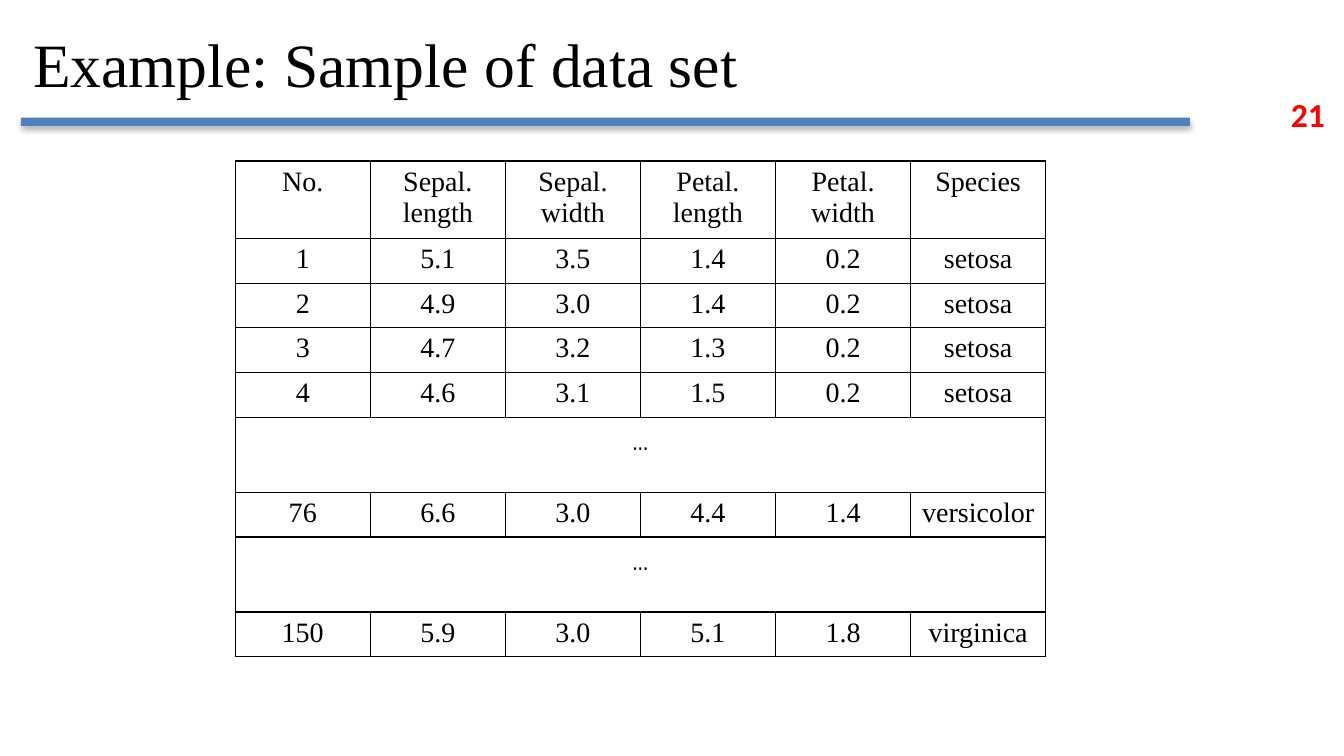
import dataclasses

import lxml.etree
import pptx
import pptx.dml.color
import pptx.enum.shapes
import pptx.enum.text
import pptx.oxml.ns
import pptx.util

PX = 6350  # EMU in one px; the slide is 1920 by 1080 px
BLACK = pptx.dml.color.RGBColor(0x00, 0x00, 0x00)
BLUE = pptx.dml.color.RGBColor(0x4F, 0x81, 0xBD)
RED = pptx.dml.color.RGBColor(0xFF, 0x00, 0x00)
ALIGN = pptx.enum.text.PP_ALIGN
HANG = 54
WIDTH, LOW, HIGH = 193, 64, 107
DOTS = "…"
SERIF = "Times New Roman"


@dataclasses.dataclass(frozen=True)
class Box:
    left: int
    top: int
    width: int
    height: int

    def emu(self) -> list[int]:
        return [PX * side for side in dataclasses.astuple(self)]


@dataclasses.dataclass(frozen=True)
class Style:
    name: str
    size: int
    color: pptx.dml.color.RGBColor = BLACK
    bold: bool = False


TITLE = Style(SERIF, 44)
BODY = Style(SERIF, 20)
GAP = Style("Quicksand", 20)
PAGE = Style("Calibri", 24, RED, True)

ROWS = [
    ["No.", "Sepal.\nlength", "Sepal.\nwidth", "Petal.\nlength", "Petal.\nwidth", "Species"],
    ["1", "5.1", "3.5", "1.4", "0.2", "setosa"],
    ["2", "4.9", "3.0", "1.4", "0.2", "setosa"],
    ["3", "4.7", "3.2", "1.3", "0.2", "setosa"],
    ["4", "4.6", "3.1", "1.5", "0.2", "setosa"],
    [DOTS],
    ["76", "6.6", "3.0", "4.4", "1.4", "versicolor"],
    [DOTS],
    ["150", "5.9", "3.0", "5.1", "1.8", "virginica"],
]


def write(frame, text: str, style: Style, align=ALIGN.LEFT, hang: int = 0) -> None:
    """Fill a text frame, one paragraph to each line of text."""
    frame.text = text
    for para in frame.paragraphs:
        para.alignment = align
        if hang:
            props = para._p.get_or_add_pPr()
            props.set("marL", str(hang * PX))
            props.set("indent", str(-hang * PX))
        for run in para.runs:
            looks = {"name": style.name, "size": pptx.util.Pt(style.size), "bold": style.bold}
            for key, value in looks.items():
                setattr(run.font, key, value)
            run.font.color.rgb = style.color


def add(parent, tag: str, **attrs: str):
    return lxml.etree.SubElement(parent, pptx.oxml.ns.qn(tag), attrs)


def edge(cell) -> None:
    """Draw a thin black border round a cell and leave it unfilled."""
    cell.fill.background()
    props = cell._tc.get_or_add_tcPr()
    for spot, side in enumerate("LRTB"):
        line = add(props, f"a:ln{side}", w=str(pptx.util.Pt(1)))
        add(add(line, "a:solidFill"), "a:srgbClr", val=str(BLACK))
        props.insert(spot, line)


def draw_bar(slide, box: Box) -> None:
    bar = slide.shapes.add_shape(pptx.enum.shapes.MSO_SHAPE.RECTANGLE, *box.emu())
    bar.fill.solid()
    bar.fill.fore_color.rgb = BLUE
    bar.line.fill.background()
    bar.shadow.inherit = False
    effects = bar._element.spPr.find(pptx.oxml.ns.qn("a:effectLst"))
    shade = add(effects, "a:outerShdw", blurRad=str(pptx.util.Pt(3.5)),
                dist=str(pptx.util.Pt(2.2)), dir="5400000", rotWithShape="0")
    add(add(shade, "a:srgbClr", val=str(BLACK)), "a:alpha", val="32000")


def draw_title(slide, box: Box, text: str) -> None:
    title = slide.shapes.title
    for key, value in zip(("left", "top", "width", "height"), box.emu()):
        setattr(title, key, value)
    looks = {
        "vertical_anchor": pptx.enum.text.MSO_ANCHOR.MIDDLE,
        "auto_size": pptx.enum.text.MSO_AUTO_SIZE.NONE,
        "word_wrap": True,
    }
    for key, value in looks.items():
        setattr(title.text_frame, key, value)
    write(title.text_frame, text, TITLE)


def draw_page(slide, box: Box, text: str) -> None:
    frame = slide.shapes.add_textbox(*box.emu()).text_frame
    frame.word_wrap = False
    frame.auto_size = pptx.enum.text.MSO_AUTO_SIZE.SHAPE_TO_FIT_TEXT
    write(frame, text, PAGE)


def draw_table(slide, left: int, top: int) -> None:
    count = len(ROWS[0])
    tall = [HIGH if row in (ROWS[0], [DOTS]) else LOW for row in ROWS]
    box = Box(left, top, WIDTH * count, sum(tall))
    table = slide.shapes.add_table(len(ROWS), count, *box.emu()).table
    table.first_row = table.horz_banding = False
    for column in table.columns:
        column.width = WIDTH * PX
    for index, (texts, height) in enumerate(zip(ROWS, tall)):
        table.rows[index].height = height * PX
        for cell in table.rows[index].cells:
            edge(cell)
        gap = texts == [DOTS]
        if gap:
            table.cell(index, 0).merge(table.cell(index, count - 1))
        for place, text in enumerate(texts):
            frame = table.cell(index, place).text_frame
            write(frame, text, GAP if gap else BODY, ALIGN.CENTER, 0 if gap else HANG)


def main() -> None:
    deck = pptx.Presentation()
    deck.slide_width, deck.slide_height = 1920 * PX, 1080 * PX
    slide = deck.slides.add_slide(deck.slide_layouts.get_by_name("Title Only"))
    draw_bar(slide, Box(30, 168, 1670, 12))
    draw_page(slide, Box(1830, 127, 85, 72), "21")
    draw_title(slide, Box(33, 23, 1647, 135), "Example: Sample of data set")
    draw_table(slide, 336, 230)
    deck.save("out.pptx")


if __name__ == "__main__":
    main()
